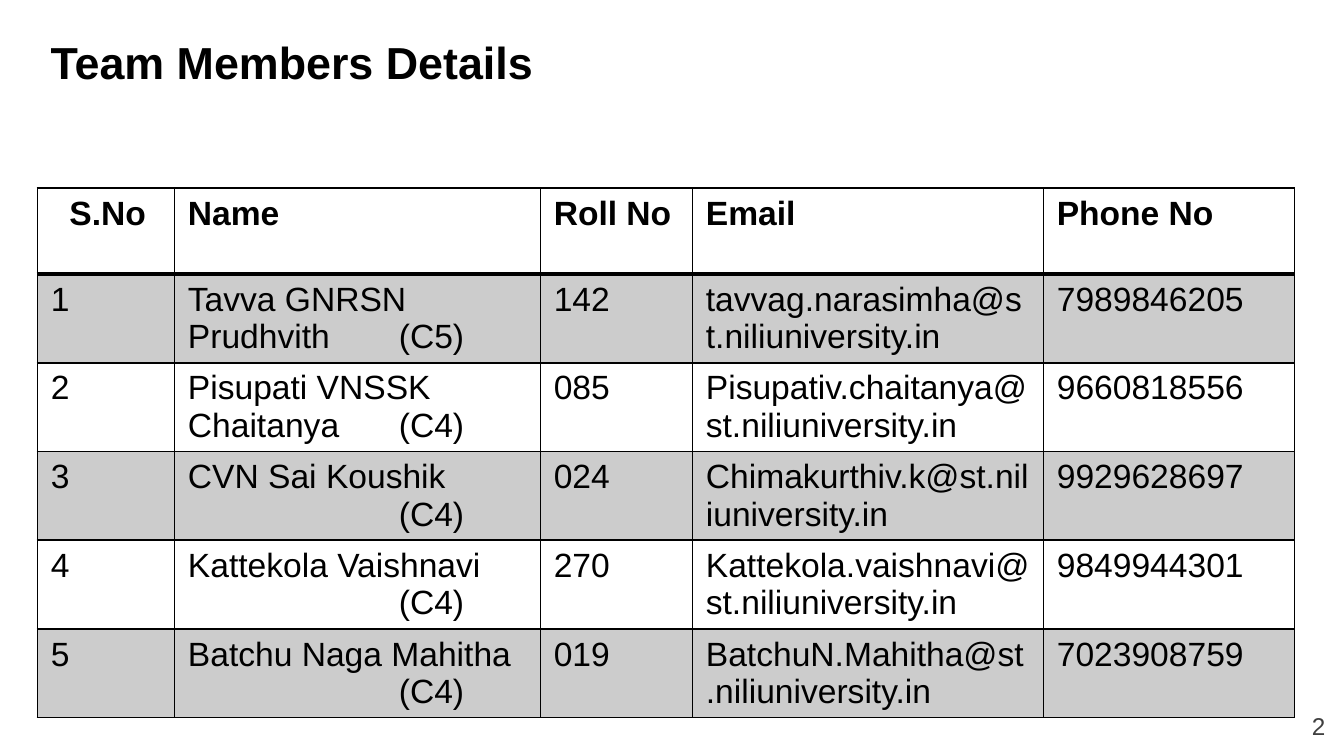
import pptx
import pptx.dml.color
import pptx.enum.text
import pptx.oxml.ns
import pptx.util
from lxml import etree

Pt = pptx.util.Pt
ALIGN = pptx.enum.text.PP_ALIGN
COLORS = {"ink": "000000", "muted": "3F3F3F"}
TITLE_FORMAT = {"name": "Arial", "size": Pt(24), "bold": True}
HEADER_FORMAT = {"name": "Arial", "size": Pt(18), "bold": True}
BODY_FORMAT = {"name": "Arial", "size": Pt(18), "bold": False}
NUMBER_FORMAT = {"name": "Arial", "size": Pt(13), "bold": False}

COLUMN_WIDTHS = [73.5, 196, 81.5, 188, 134.5]
COLUMN_TABS = {0: 10, 1: 113}
ROW_HEIGHT = 46
EMAIL_DOMAIN = "@st.niliuniversity.in"
HEADERS = ["\tS.No", "Name", "Roll No", "Email", "Phone No"]
MEMBERS = [
    ("Tavva GNRSN Prudhvith\t(C5)", "142", "tavvag.narasimha", "7989846205"),
    ("Pisupati VNSSK Chaitanya\t(C4)", "085", "Pisupativ.chaitanya", "9660818556"),
    ("CVN Sai Koushik\n\t(C4)", "024", "Chimakurthiv.k", "9929628697"),
    ("Kattekola Vaishnavi\n\t(C4)", "270", "Kattekola.vaishnavi", "9849944301"),
    ("Batchu Naga Mahitha\n\t(C4)", "019", "BatchuN.Mahitha", "7023908759"),
]


def rgb(color):
    """Return the named colour as an RGB value."""
    return pptx.dml.color.RGBColor.from_string(COLORS[color])


def add_child(parent, tag, **attributes):
    """Append a DrawingML element with the given attributes."""
    values = {key: str(value) for key, value in attributes.items()}
    return etree.SubElement(parent, pptx.oxml.ns.qn(tag), values)


def write_text(text_frame, text, font_format, color="ink", align=ALIGN.LEFT, tab=None):
    """Fill a text frame and format its paragraphs."""
    text_frame.text = text
    for paragraph in text_frame.paragraphs:
        paragraph.alignment = align
        if tab:
            tabs = add_child(paragraph._p.get_or_add_pPr(), "a:tabLst")
            add_child(tabs, "a:tab", pos=Pt(tab), algn="l")
        for run in paragraph.runs:
            for key, value in font_format.items():
                setattr(run.font, key, value)
            run.font.color.rgb = rgb(color)


def add_text(slide, box, text, font_format, margin=3.6, **options):
    """Add a wrapping text box."""
    text_frame = slide.shapes.add_textbox(*map(Pt, box)).text_frame
    margins = {"margin_top": Pt(margin), "margin_bottom": Pt(margin), "word_wrap": True}
    for key, value in margins.items():
        setattr(text_frame, key, value)
    write_text(text_frame, text, font_format, **options)


def set_fill(cell, shaded):
    """Shade a cell with translucent ink or leave it clear."""
    if not shaded:
        cell.fill.background()
        return
    cell.fill.solid()
    cell.fill.fore_color.rgb = rgb("ink")
    color = cell._tc.tcPr.find(".//" + pptx.oxml.ns.qn("a:srgbClr"))
    add_child(color, "a:alpha", val=20000)


def set_borders(cell, top, bottom):
    """Draw the four borders of a cell, one point wide at the sides."""
    properties = cell._tc.get_or_add_tcPr()
    widths = {"a:lnL": 1, "a:lnR": 1, "a:lnT": top, "a:lnB": bottom}
    for index, (tag, width) in enumerate(widths.items()):
        line = add_child(properties, tag, w=Pt(width))
        add_child(add_child(line, "a:solidFill"), "a:srgbClr", val=COLORS["ink"])
        properties.insert(index, line)


def add_member_table(slide, left, top):
    """Add the table of team members at the given corner."""
    rows = [HEADERS] + [
        (str(number), name, roll, email + EMAIL_DOMAIN, phone)
        for number, (name, roll, email, phone) in enumerate(MEMBERS, 1)
    ]
    size = (sum(COLUMN_WIDTHS), ROW_HEIGHT * len(rows))
    table = slide.shapes.add_table(
        len(rows), len(HEADERS), *map(Pt, (left, top, *size))
    ).table
    for column, width in zip(table.columns, COLUMN_WIDTHS):
        column.width = Pt(width)
    for row_index, values in enumerate(rows):
        table.rows[row_index].height = Pt(ROW_HEIGHT)
        font_format = BODY_FORMAT if row_index else HEADER_FORMAT
        for column_index, value in enumerate(values):
            cell = table.cell(row_index, column_index)
            tab = COLUMN_TABS.get(column_index) if "\t" in value else None
            write_text(cell.text_frame, value, font_format, tab=tab)
            set_fill(cell, row_index % 2 == 1)
            set_borders(cell, 2 if row_index == 1 else 1, 1 if row_index else 2)


def main():
    """Build the team members slide."""
    presentation = pptx.Presentation()
    presentation.slide_width, presentation.slide_height = Pt(720), Pt(405)
    slide = presentation.slides.add_slide(presentation.slide_layouts[6])
    add_member_table(slide, 20, 100.8)
    add_text(slide, (20, 15, 408, 41), "Team Members Details", TITLE_FORMAT)
    add_text(slide, (674, 374, 43, 31), "2", NUMBER_FORMAT, margin=7.2,
             color="muted", align=ALIGN.RIGHT)
    presentation.save("out.pptx")


if __name__ == "__main__":
    main()
